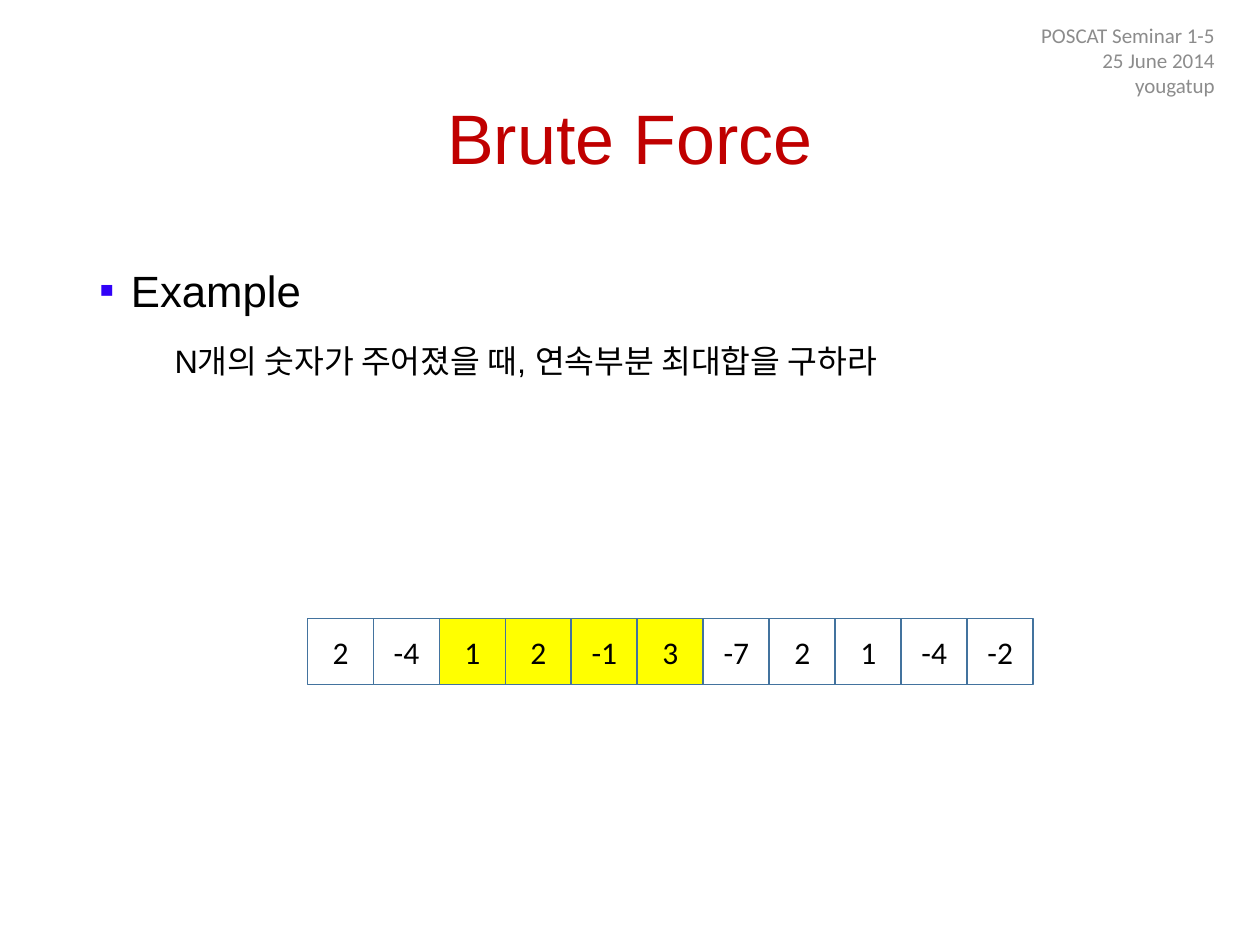
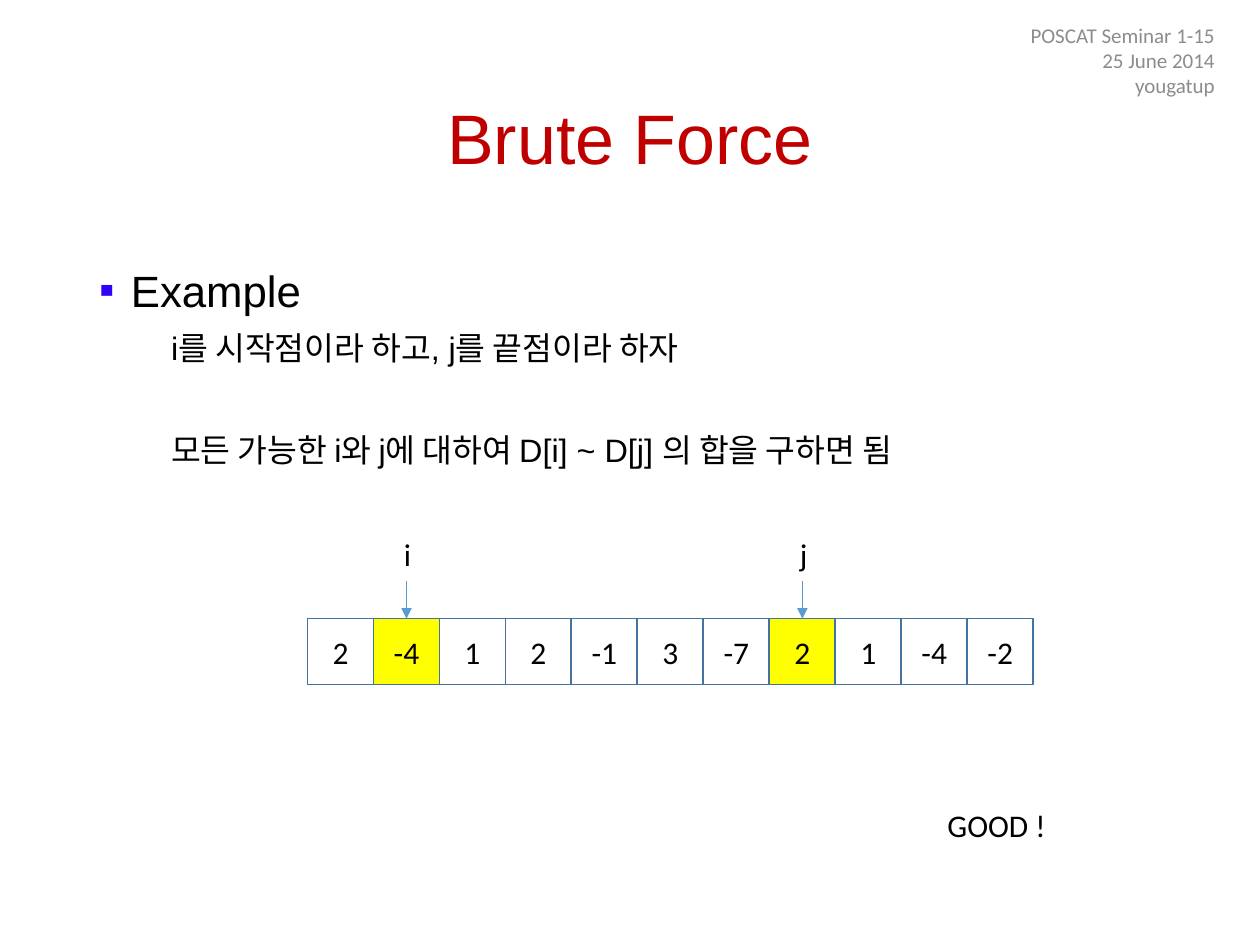
from dataclasses import dataclass
from typing import Optional

from lxml.etree import SubElement
from pptx import Presentation
from pptx.dml.color import RGBColor
from pptx.enum.shapes import MSO_CONNECTOR, MSO_SHAPE
from pptx.enum.text import MSO_ANCHOR, PP_ALIGN
from pptx.oxml.ns import qn
from pptx.slide import Slide
from pptx.text.text import TextFrame
from pptx.util import Cm, Pt

BLACK = "000000"
TITLE_RED = "C00000"
HEADER_GREY = "8C8C8C"
BULLET_BLUE = "3102F8"
HIGHLIGHT = "FFFF00"
CELL_LINE = "43739E"
ARROW_BLUE = "5B9BD5"
HEADING_FONT = "Arial"
LABEL_FONT = "Calibri"

NUMBERS = (2, -4, 1, 2, -1, 3, -7, 2, 1, -4, -2)
ROW_LEFT, ROW_TOP, CELL_SIZE = 6.2, 12.47, 1.33
ARROW_LENGTH = 0.76


@dataclass(frozen=True)
class Box:
    left: float
    top: float
    width: float
    height: float


@dataclass(frozen=True)
class Line:
    text: str
    size: float
    font: str = LABEL_FONT
    color: str = BLACK
    align: PP_ALIGN = PP_ALIGN.LEFT
    spacing: Optional[float] = None
    before: float = 0
    indent: float = 0
    bullet: bool = False


@dataclass(frozen=True)
class Pointer:
    label: str
    index: int


@dataclass(frozen=True)
class Page:
    number: int
    body: tuple[Line, ...]
    highlighted: tuple[int, ...]
    pointers: tuple[Pointer, ...] = ()
    remark: str = ""


TITLE_BOX = Box(1.75, 1.02, 21.9, 3.68)
BODY_BOX = Box(1.75, 5.08, 21.9, 12.09)
HEADER_BOX = Box(19.02, 0.51, 5.72, 1.4)
REMARK_BOX = Box(18.85, 16.13, 2.51, 1.02)


def rgb(color: str) -> RGBColor:
    return RGBColor.from_string(color)


def detail(text: str, before: float, indent: float) -> Line:
    return Line(text, 18.5, HEADING_FONT, spacing=1.1, before=before, indent=indent)


def write(frame: TextFrame, lines: tuple[Line, ...]) -> None:
    for position, line in enumerate(lines):
        paragraph = frame.add_paragraph() if position else frame.paragraphs[0]
        paragraph.text = line.text
        paragraph.alignment = line.align
        paragraph.space_before = Pt(line.before)
        if line.spacing:
            paragraph.line_spacing = line.spacing
        properties = paragraph._p.get_or_add_pPr()
        properties.set("marL", str(Cm(line.indent)))
        properties.set("indent", str(-Cm(line.indent) if line.bullet else 0))
        if line.bullet:
            bullet_color = SubElement(properties, qn("a:buClr"))
            SubElement(bullet_color, qn("a:srgbClr"), val=BULLET_BLUE)
            SubElement(properties, qn("a:buFont"), typeface=HEADING_FONT)
            SubElement(properties, qn("a:buChar"), char="▪")
        paragraph.font.name = line.font
        paragraph.font.size = Pt(line.size)
        paragraph.font.color.rgb = rgb(line.color)


def add_text(slide: Slide, box: Box, *lines: Line,
             anchor: MSO_ANCHOR = MSO_ANCHOR.TOP, wrap: bool = True) -> None:
    shape = slide.shapes.add_textbox(
        Cm(box.left), Cm(box.top), Cm(box.width), Cm(box.height))
    shape.text_frame.word_wrap = wrap
    shape.text_frame.vertical_anchor = anchor
    write(shape.text_frame, lines)


def add_cell(slide: Slide, index: int, value: int, highlighted: bool) -> None:
    shape = slide.shapes.add_shape(
        MSO_SHAPE.RECTANGLE, Cm(ROW_LEFT + index * CELL_SIZE), Cm(ROW_TOP),
        Cm(CELL_SIZE), Cm(CELL_SIZE))
    shape.shadow.inherit = False
    if highlighted:
        shape.fill.solid()
        shape.fill.fore_color.rgb = rgb(HIGHLIGHT)
    else:
        shape.fill.background()
    shape.line.color.rgb = rgb(CELL_LINE)
    shape.line.width = Pt(1)
    shape.text_frame.vertical_anchor = MSO_ANCHOR.MIDDLE
    write(shape.text_frame, (Line(str(value), 18, align=PP_ALIGN.CENTER),))


def add_pointer(slide: Slide, pointer: Pointer) -> None:
    center = ROW_LEFT + (pointer.index + 0.5) * CELL_SIZE
    arrow = slide.shapes.add_connector(
        MSO_CONNECTOR.STRAIGHT, Cm(center), Cm(ROW_TOP - ARROW_LENGTH),
        Cm(center), Cm(ROW_TOP))
    arrow.line.color.rgb = rgb(ARROW_BLUE)
    arrow.line.width = Pt(0.5)
    SubElement(arrow.line._get_or_add_ln(), qn("a:tailEnd"), type="triangle")
    SubElement(arrow._element.spPr, qn("a:effectLst"))
    label_box = Box(center - 0.3, ROW_TOP - ARROW_LENGTH - 1.04, 0.66, 1.02)
    add_text(slide, label_box, Line(pointer.label, 18), wrap=False)


def add_page(presentation: Presentation, page: Page) -> None:
    slide = presentation.slides.add_slide(presentation.slide_layouts[6])
    add_text(slide, TITLE_BOX,
             Line("Brute Force", 40, HEADING_FONT, TITLE_RED, PP_ALIGN.CENTER, 0.9),
             anchor=MSO_ANCHOR.MIDDLE)
    heading = Line("Example", 25, HEADING_FONT, spacing=1.1, before=10,
                   indent=0.64, bullet=True)
    add_text(slide, BODY_BOX, heading, *page.body)
    header = (f"POSCAT Seminar 1-{page.number}", "25 June 2014", "yougatup")
    add_text(slide, HEADER_BOX,
             *(Line(text, 12, color=HEADER_GREY, align=PP_ALIGN.RIGHT) for text in header),
             anchor=MSO_ANCHOR.MIDDLE)
    for index, value in enumerate(NUMBERS):
        add_cell(slide, index, value, index in page.highlighted)
    for pointer in page.pointers:
        add_pointer(slide, pointer)
    if page.remark:
        add_text(slide, REMARK_BOX, Line(page.remark, 18), wrap=False)


PAGES = (
    Page(5, (detail("N개의 숫자가 주어졌을 때, 연속부분 최대합을 구하라", 12.4, 1.52),),
         (2, 3, 4, 5)),
    Page(15, (detail("i를 시작점이라 하고, j를 끝점이라 하자", 5, 1.45),
              detail("모든 가능한 i와 j에 대하여 D[i] ~ D[j] 의 합을 구하면 됨", 33.4, 1.45)),
         (1, 7), (Pointer("i", 1), Pointer("j", 7)), "GOOD !"),
)

presentation = Presentation()
presentation.slide_width = Cm(25.4)
presentation.slide_height = Cm(19.05)
for page in PAGES:
    add_page(presentation, page)
presentation.save("out.pptx")
